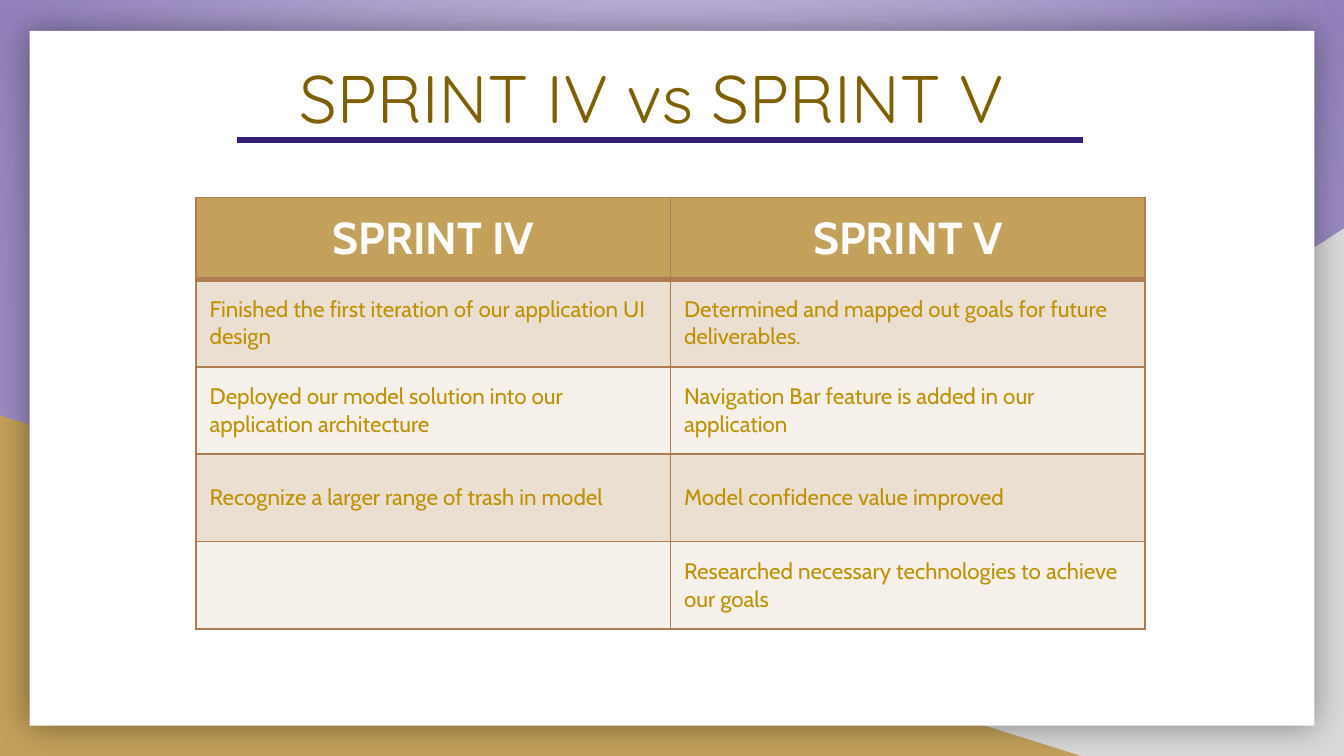
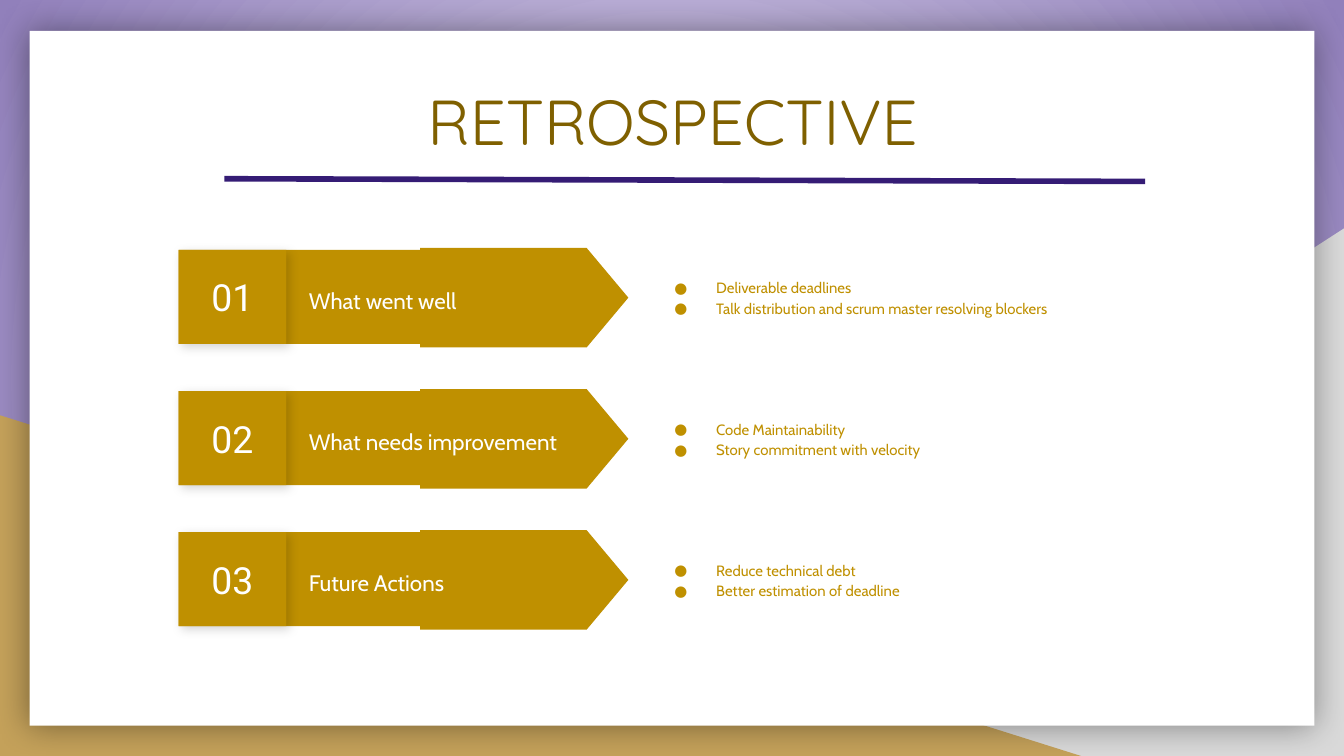
import pptx
import pptx.util
import pptx.dml.color
import pptx.enum.shapes
import pptx.enum.text
import pptx.oxml
import pptx.oxml.ns

Inches, Pt, qn = pptx.util.Inches, pptx.util.Pt, pptx.oxml.ns.qn
SHAPE = pptx.enum.shapes.MSO_SHAPE
ALIGN = pptx.enum.text.PP_ALIGN
ANCHOR = pptx.enum.text.MSO_ANCHOR

GOLD, TAN, WHITE, GRAY = "BF9000", "C4A15A", "FFFFFF", "D9D9D9"
BROWN, PURPLE, BORDER = "7F6000", "351C75", "AF7B51"
BANDS = ("EADFD0", "F5F0E9")
GLOW = ("DBD4EB", "9180BB")

SPRINTS = [
    ("SPRINT IV", "SPRINT V"),
    ("Finished the first iteration of our application UI design",
     "Determined and mapped out goals for future deliverables."),
    ("Deployed our model solution into our application architecture",
     "Navigation Bar feature is added in our application"),
    ("Recognize a larger range of trash in model", "Model confidence value improved"),
    ("", "Researched necessary technologies to achieve our goals"),
]
RETRO = [
    ("What went well",
     ["Deliverable deadlines", "Talk distribution and scrum master resolving blockers"]),
    ("What needs improvement", ["Code Maintainability", "Story commitment with velocity"]),
    ("Future Actions", ["Reduce technical debt", "Better estimation of deadline"]),
]


def rgb(color):
    return pptx.dml.color.RGBColor.from_string(color)


def xml(tag, attrs="", inner=""):
    return pptx.oxml.parse_xml(
        f'<a:{tag} {pptx.oxml.ns.nsdecls("a")} {attrs}>{inner}</a:{tag}>')


def write(tf, text, size=12, color=GOLD, font="Cabin", bold=False, align=ALIGN.LEFT,
          anchor=ANCHOR.MIDDLE, spacing=None, bullet=False):
    tf.word_wrap = True
    tf.vertical_anchor = anchor
    for i, line in enumerate([text] if isinstance(text, str) else text):
        p = tf.paragraphs[0] if i == 0 else tf.add_paragraph()
        p.alignment = align
        if spacing:
            p.line_spacing = spacing
        if bullet:
            pPr = p._p.get_or_add_pPr()
            pPr.set("marL", str(Inches(0.5)))
            pPr.set("indent", str(-Inches(0.31)))
            pPr.append(xml("buClr", inner=f'<a:srgbClr val="{color}"/>'))
            pPr.append(xml("buFont", f'typeface="{font}"'))
            pPr.append(xml("buChar", 'char="●"'))
        r = p.add_run()
        r.text = line
        r.font.name, r.font.size, r.font.bold = font, Pt(size), bold
        r.font.color.rgb = rgb(color)


def inset(tf, width=0.1):
    tf.margin_left = tf.margin_right = tf.margin_top = tf.margin_bottom = Inches(width)


def block(shapes, kind, box, fill, flip=False, shadow=None, text=None, **fmt):
    sp = shapes.add_shape(kind, *map(Inches, box))
    sp.fill.solid()
    sp.fill.fore_color.rgb = rgb(fill)
    sp.line.fill.background()
    sp.shadow.inherit = False
    if flip:
        sp.element.spPr.find(qn("a:xfrm")).set("flipH", "1")
    if shadow:
        alpha, blur, dist, angle = shadow
        sp.element.spPr.find(qn("a:effectLst")).append(xml(
            "outerShdw",
            f'blurRad="{Pt(blur)}" dist="{Pt(dist)}" dir="{angle * 60000}" '
            'algn="ctr" rotWithShape="0"',
            f'<a:srgbClr val="000000"><a:alpha val="{alpha * 1000}"/></a:srgbClr>'))
    if text:
        inset(sp.text_frame)
        write(sp.text_frame, text, **fmt)
    return sp


def add_backdrop(layout, s):
    fill = layout.background.fill
    fill.gradient()
    for stop, color, position in zip(fill.gradient_stops, GLOW, (0, 1)):
        stop.color.rgb = rgb(color)
        stop.position = position
    lin = layout.element.find(".//" + qn("a:lin"))
    lin.getparent().replace(lin, xml(
        "path", 'path="circle"', '<a:fillToRect l="50000" t="50000" r="50000" b="50000"/>'))
    for ph in list(layout.placeholders)[1:]:
        ph.element.getparent().remove(ph.element)
    backdrop = [
        block(s.shapes, SHAPE.RIGHT_TRIANGLE, (3.92, 1.7, 6.08, 3.93), GRAY, flip=True),
        block(s.shapes, SHAPE.RIGHT_TRIANGLE, (0, 3.09, 8.06, 2.54), TAN),
        block(s.shapes, SHAPE.RECTANGLE, (0.22, 0.23, 9.56, 5.17), WHITE,
              shadow=(40, 18, 0, 0)),
    ]
    for i, sp in enumerate(backdrop):
        layout.shapes.element.insert(2 + i, sp.element)


def add_heading(s, text, left, top, size, rule):
    title = s.shapes.title
    title.left, title.top, title.width, title.height = map(Inches, (left, top, 8.21, 1.04))
    tf = title.text_frame
    tf.auto_size = pptx.enum.text.MSO_AUTO_SIZE.NONE
    inset(tf)
    write(tf, text, size=size, color=BROWN, font="Quicksand", align=ALIGN.CENTER,
          anchor=ANCHOR.TOP)
    line = s.shapes.add_connector(
        pptx.enum.shapes.MSO_CONNECTOR.STRAIGHT, *map(Inches, rule))
    line.line.color.rgb = rgb(PURPLE)
    line.line.width = Pt(3)
    line.element.spPr.append(xml("effectLst"))


def set_borders(cell, top, bottom):
    tcPr = cell._tc.get_or_add_tcPr()
    for i, (side, width) in enumerate(zip("LRTB", (1, 1, top, bottom))):
        tcPr.insert(i, xml(f"ln{side}", f'w="{Pt(width)}"',
                           f'<a:solidFill><a:srgbClr val="{BORDER}"/></a:solidFill>'))


def add_sprint_table(s):
    table = s.shapes.add_table(
        len(SPRINTS), 2, *map(Inches, (1.46, 1.47, 7.06, 3.21))).table
    for i, row in enumerate(SPRINTS):
        header = i == 0
        table.rows[i].height = Inches(0.61 if header else 0.65)
        for j, text in enumerate(row):
            cell = table.cell(i, j)
            cell.fill.solid()
            cell.fill.fore_color.rgb = rgb(TAN if header else BANDS[(i - 1) % 2])
            set_borders(cell, 3 if i == 1 else 1, 3 if header else 1)
            cell.vertical_anchor = ANCHOR.MIDDLE
            if header:
                write(cell.text_frame, text, size=24, color=WHITE, bold=True,
                      align=ALIGN.CENTER)
            elif text:
                write(cell.text_frame, text)


def add_retro_row(s, number, label, points):
    top, height = 1.86 + 1.05 * (number - 1), 0.7
    shapes = s.shapes.add_group_shape().shapes
    badge = (1.33, top, 0.8, height)
    block(shapes, SHAPE.RECTANGLE, (3.8, top, 4.41, height), WHITE)
    block(shapes, SHAPE.RECTANGLE, (2.13, top, 2.13, height), GOLD, flip=True)
    arrow = block(shapes, SHAPE.FLOWCHART_OFFPAGE_CONNECTOR,
                  (3.53, top - 0.42, 0.74, 1.55), GOLD)
    arrow.rotation = 270
    block(shapes, SHAPE.RECTANGLE, (2.2, top + 0.09, 2.24, 0.54), GOLD,
          text=label, color=WHITE, spacing=1.15)
    block(shapes, SHAPE.RECTANGLE, badge, GOLD, shadow=(16, 5.6, 2.2, 45))
    block(shapes, SHAPE.RECTANGLE, badge, GOLD, text=f"{number:02}", size=20,
          color=WHITE, font="Roboto", align=ALIGN.CENTER)
    block(shapes, SHAPE.RECTANGLE, (4.73, top, 3.45, height), WHITE,
          text=points, size=8, spacing=1.15, bullet=True)


def main():
    prs = pptx.Presentation()
    prs.slide_width = Inches(10)
    prs.slide_height = prs.slide_width * 9 // 16
    layout = prs.slide_layouts[5]

    s = prs.slides.add_slide(layout)
    add_backdrop(layout, s)
    add_heading(s, "SPRINT IV vs SPRINT V ", 0.81, 0.32, 36, (1.76, 1.04, 8.06, 1.04))
    add_sprint_table(s)

    s = prs.slides.add_slide(layout)
    add_heading(s, "RETROSPECTIVE", 0.9, 0.51, 34, (1.67, 1.33, 8.52, 1.35))
    for number, (label, points) in reversed(list(enumerate(RETRO, 1))):
        add_retro_row(s, number, label, points)

    prs.save("out.pptx")


if __name__ == "__main__":
    main()
